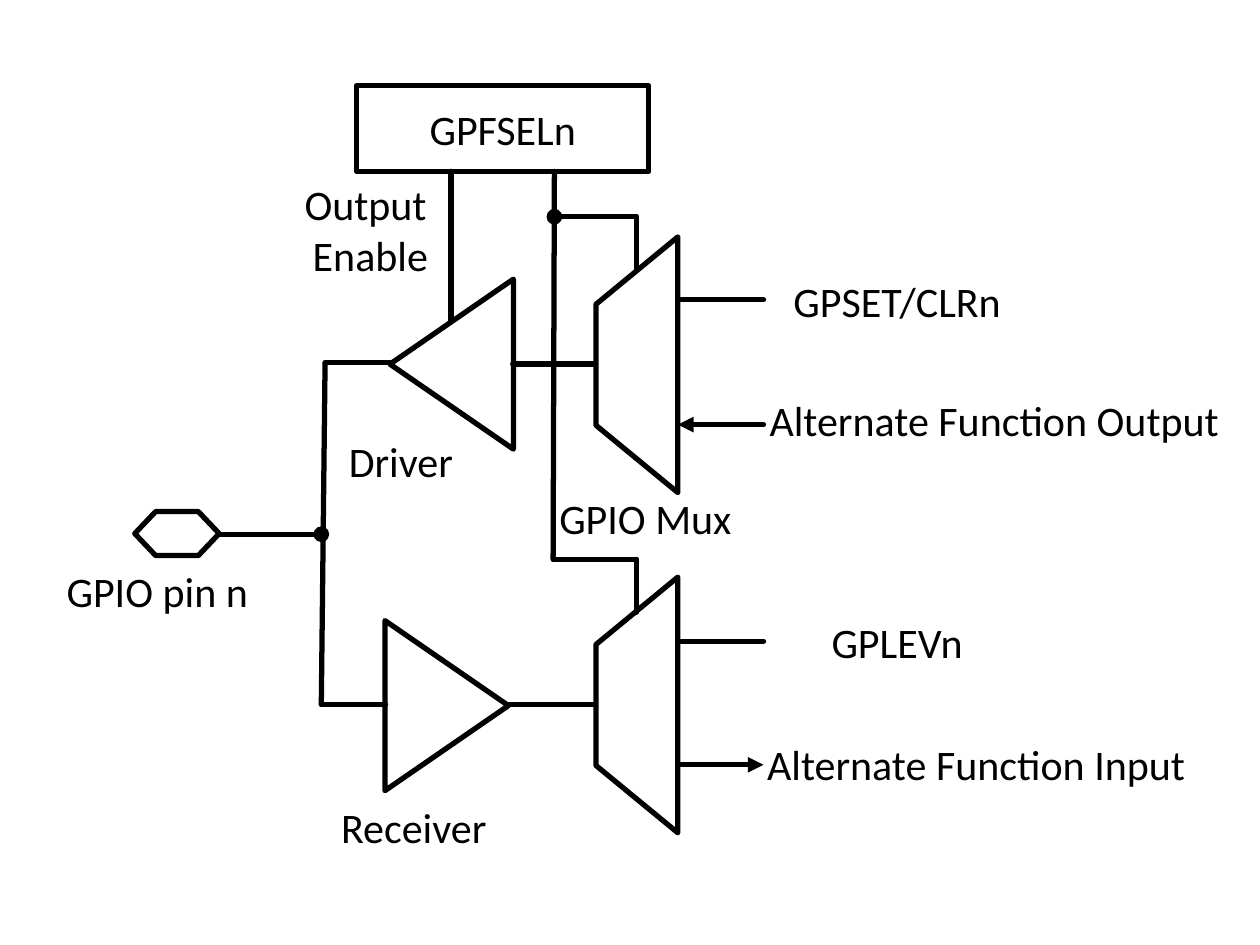
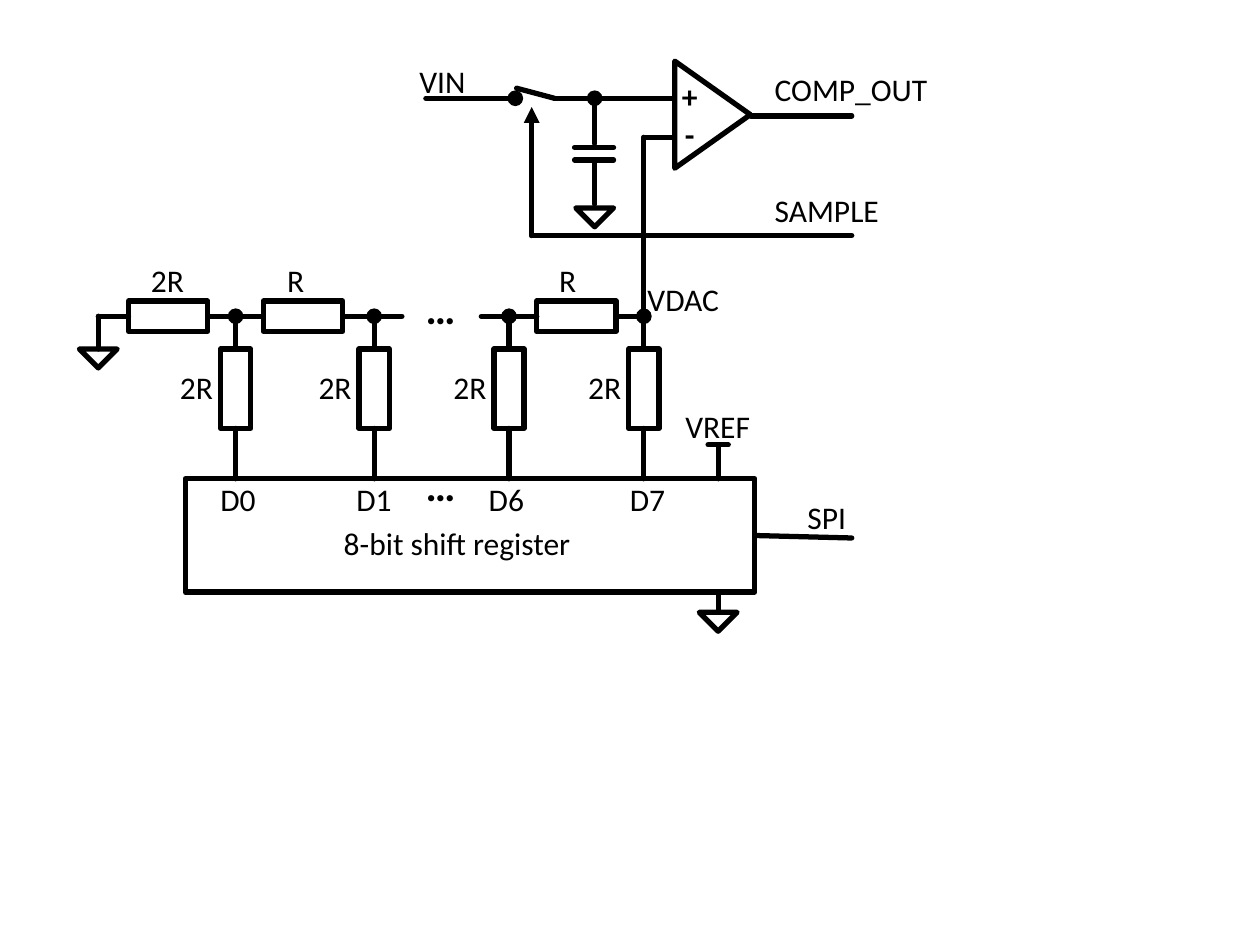
from dataclasses import dataclass
from typing import NamedTuple, Optional

from lxml.etree import SubElement
from pptx import Presentation
from pptx.dml.color import RGBColor
from pptx.enum.shapes import MSO_CONNECTOR, MSO_SHAPE
from pptx.enum.text import MSO_ANCHOR, MSO_AUTO_SIZE, PP_ALIGN
from pptx.oxml.ns import qn
from pptx.util import Emu, Pt

PX = 9144  # 100 px to the inch
COLORS = {"ink": "000000", "paper": "FFFFFF"}
FONT = "Calibri"
LINE_WIDTH = Pt(3)
JOIN_REACH = 3  # px between a wire end and the side it belongs to


@dataclass
class Outline:
    """A preset shape; the frame is the one before rotation."""
    kind: MSO_SHAPE
    x: int
    y: int
    w: int
    h: int
    rot: int = 0
    adj: Optional[float] = None


@dataclass
class Wire:
    x1: int
    y1: int
    x2: int
    y2: int
    head: str = ""
    tail: str = ""


@dataclass
class Label:
    text: str
    x: int
    y: int
    w: int
    h: int = 40
    size: int = 18
    bold: bool = False
    centered: bool = False


class Bit(NamedTuple):
    name: str
    x: int
    name_x: int


def px(n: int) -> Emu:
    return Emu(n * PX)


def ink() -> RGBColor:
    return RGBColor.from_string(COLORS["ink"])


def style_line(sp):
    """Give a shape or connector the round black stroke and return its a:ln."""
    sp.line.color.rgb = ink()
    sp.line.width = LINE_WIDTH
    ln = sp.element.spPr.find(qn("a:ln"))
    ln.set("cap", "rnd")
    SubElement(ln, qn("a:round"))
    return ln


def style_text(tf, size: int, bold: bool, centered: bool) -> None:
    for p in tf.paragraphs:
        p.alignment = PP_ALIGN.CENTER if centered else PP_ALIGN.LEFT
        for r in p.runs:
            r.font.name = FONT
            r.font.size = Pt(size)
            r.font.bold = bold
            r.font.color.rgb = ink()


def draw_outline(shapes, o: Outline):
    sp = shapes.add_shape(o.kind, px(o.x), px(o.y), px(o.w), px(o.h))
    sp.rotation = o.rot
    if o.adj is not None:
        sp.adjustments[0] = o.adj
    sp.fill.background()
    sp.shadow.inherit = False
    style_line(sp)
    return sp


def side_at(boxes, x: int, y: int):
    """Find the rectangle and side whose middle lies at the point."""
    reach = px(JOIN_REACH)
    for sp in boxes:
        mid_x, mid_y = sp.left + sp.width // 2, sp.top + sp.height // 2
        middles = [(mid_x, sp.top), (sp.left, mid_y),
                   (mid_x, sp.top + sp.height), (sp.left + sp.width, mid_y)]
        for side, (sx, sy) in enumerate(middles):
            if abs(sx - px(x)) <= reach and abs(sy - px(y)) <= reach:
                return sp, side
    return None


def draw_wire(shapes, w: Wire, boxes=()) -> None:
    cxn = shapes.add_connector(MSO_CONNECTOR.STRAIGHT,
                               px(w.x1), px(w.y1), px(w.x2), px(w.y2))
    ln = style_line(cxn)
    for tag, end in (("a:headEnd", w.head), ("a:tailEnd", w.tail)):
        if end:
            SubElement(ln, qn(tag)).set("type", end)
    SubElement(cxn.element.spPr, qn("a:effectLst"))
    begin, finish = side_at(boxes, w.x1, w.y1), side_at(boxes, w.x2, w.y2)
    if begin:
        cxn.begin_connect(*begin)
    if finish:
        cxn.end_connect(*finish)


def draw_label(shapes, t: Label) -> None:
    tf = shapes.add_textbox(px(t.x), px(t.y), px(t.w), px(t.h)).text_frame
    tf.text = t.text
    tf.word_wrap = False
    tf.auto_size = MSO_AUTO_SIZE.SHAPE_TO_FIT_TEXT
    style_text(tf, t.size, t.bold, t.centered)


def draw_all(shapes, outlines, wires, labels) -> None:
    drawn = [(o, draw_outline(shapes, o)) for o in outlines]
    boxes = [sp for o, sp in drawn if o.kind == MSO_SHAPE.RECTANGLE]
    for w in wires:
        draw_wire(shapes, w, boxes)
    for t in labels:
        draw_label(shapes, t)


def new_slide(prs):
    s = prs.slides.add_slide(prs.slide_layouts[6])
    s.background.fill.solid()
    s.background.fill.fore_color.rgb = RGBColor.from_string(COLORS["paper"])
    return s


def triangle(x: int, y: int, w: int, h: int, rot: int) -> Outline:
    return Outline(MSO_SHAPE.ISOSCELES_TRIANGLE, x, y, w, h, rot)


def box(x: int, y: int, w: int, h: int) -> Outline:
    return Outline(MSO_SHAPE.RECTANGLE, x, y, w, h)


def mux(y: int) -> Outline:
    return Outline(MSO_SHAPE.TRAPEZOID, 404, y, 203, 65, 270, 0.823)


def ground(x: int, y: int) -> Outline:
    return triangle(x - 15, y, 30, 15, 180)


def build_gpio_pin(prs) -> None:
    shapes = new_slide(prs).shapes

    select = draw_outline(shapes, box(283, 68, 232, 68))
    select.text_frame.text = "GPFSELn"
    select.text_frame.vertical_anchor = MSO_ANCHOR.MIDDLE
    style_text(select.text_frame, 24, False, True)

    outlines = [
        triangle(291, 240, 135, 98, 270),
        triangle(287, 511, 135, 98, 90),
        mux(257), mux(527),
        Outline(MSO_SHAPE.HEXAGON, 107, 406, 67, 35, adj=0.474),
    ]
    wires = [
        Wire(174, 424, 255, 424, tail="oval"),
        Wire(258, 288, 255, 559),
        Wire(311, 288, 258, 288),
        Wire(306, 559, 255, 559),
        Wire(472, 289, 407, 289),
        Wire(472, 559, 403, 559),
        Wire(606, 238, 538, 238),
        Wire(606, 509, 538, 509),
        Wire(606, 337, 538, 337, tail="triangle"),
        Wire(606, 607, 538, 607, head="triangle"),
        Wire(358, 255, 358, 136),
        Wire(439, 444, 440, 136),
    ]
    for y, end in ((172, "oval"), (444, "")):
        wires += [Wire(440, y, 505, y, head=end), Wire(505, y + 42, 505, y)]
    labels = [
        Label("GPSET/CLRn", 606, 214, 212, 50, 24, centered=True),
        Label("GPLEVn", 606, 484, 212, 50, 24, centered=True),
        Label("Alternate Function Output", 601, 308, 380, 50, 24),
        Label("Alternate Function Input", 599, 581, 355, 50, 24),
        Label("GPIO pin n", 43, 444, 165, 50, 24),
        Label("Receiver", 261, 631, 137, 50, 24),
        Label("Driver", 267, 341, 104, 50, 24),
        Label("Output \vEnable", 231, 137, 126, 91, 24, centered=True),
        Label("GPIO Mux", 434, 386, 158, 50, 24),
    ]
    draw_all(shapes, outlines, wires, labels)


def draw_capacitor(shapes, x: int, y: int) -> None:
    """Hang a capacitor from the node at x, y."""
    group = shapes.add_group_shape().shapes
    draw_wire(group, Wire(x, y, x, y + 36, head="oval"))
    draw_wire(group, Wire(x, y + 49, x, y + 84))
    for plate_y in (y + 39, y + 49):
        draw_wire(group, Wire(x - 16, plate_y, x + 15, plate_y))


def build_ladder_adc(prs) -> None:
    shapes = new_slide(prs).shapes
    rail_y, register_y, right_x = 251, 380, 676
    bits = [Bit("D0", 187, 165), Bit("D1", 297, 273),
            Bit("D6", 404, 378), Bit("D7", 511, 490)]

    outlines = [
        triangle(523, 61, 85, 60, 90),
        ground(472, 165), ground(570, 486), ground(78, 277),
        box(147, register_y, 452, 90),
    ]
    outlines += [box(x, rail_y - 12, 63, 24) for x in (102, 209, 426)]
    wires = [
        Wire(535, 78, 440, 78),
        Wire(409, 78, 338, 78, head="oval"),
        Wire(410, 70, 440, 78),
        Wire(422, 85, 422, 187, head="triangle"),
        Wire(right_x, 187, 422, 187),
        Wire(511, rail_y, 511, 109),
        Wire(535, 109, 511, 109),
        Wire(right_x, 92, 596, 92),
        Wire(right_x, 427, 599, 427),
        Wire(570, 353, 570, register_y),
        Wire(562, 353, 578, 353),
        Wire(570, 470, 570, 486),
        Wire(78, rail_y, 78, 277),
        Wire(102, rail_y, 78, rail_y),
        Wire(209, rail_y, 165, rail_y),
        Wire(319, rail_y, 272, rail_y),
        Wire(426, rail_y, 382, rail_y),
        Wire(511, rail_y, 489, rail_y),
    ]
    labels = [
        Label("VIN", 323, 44, 57),
        Label("+\n-", 531, 56, 33, 71, bold=True, centered=True),
        Label("COMP_OUT", 605, 51, 142),
        Label("SAMPLE", 605, 147, 104),
        Label("SPI", 631, 390, 51),
        Label("2R", 110, 202, 47),
        Label("R", 218, 202, 34),
        Label("R", 434, 202, 34),
        Label("VREF", 534, 318, 72),
        Label("VDAC", 504, 217, 78),
        Label("8-bit shift register", 263, 411, 203),
    ]
    labels += [Label("…", 328, y, 44, 50, 24, True) for y in (219, 360)]
    for bit in bits:
        outlines.append(box(bit.x - 12, 277, 24, 63))
        wires += [Wire(bit.x, rail_y, bit.x, 277, head="oval"),
                  Wire(bit.x, register_y, bit.x, 340)]
        labels += [Label("2R", bit.x - 54, 287, 47),
                   Label(bit.name, bit.name_x, 376, 49)]

    draw_all(shapes, outlines, wires, labels)
    draw_capacitor(shapes, 472, 78)


def main() -> None:
    prs = Presentation()
    prs.slide_width, prs.slide_height = px(1000), px(750)
    build_gpio_pin(prs)
    build_ladder_adc(prs)
    prs.save("out.pptx")


if __name__ == "__main__":
    main()
